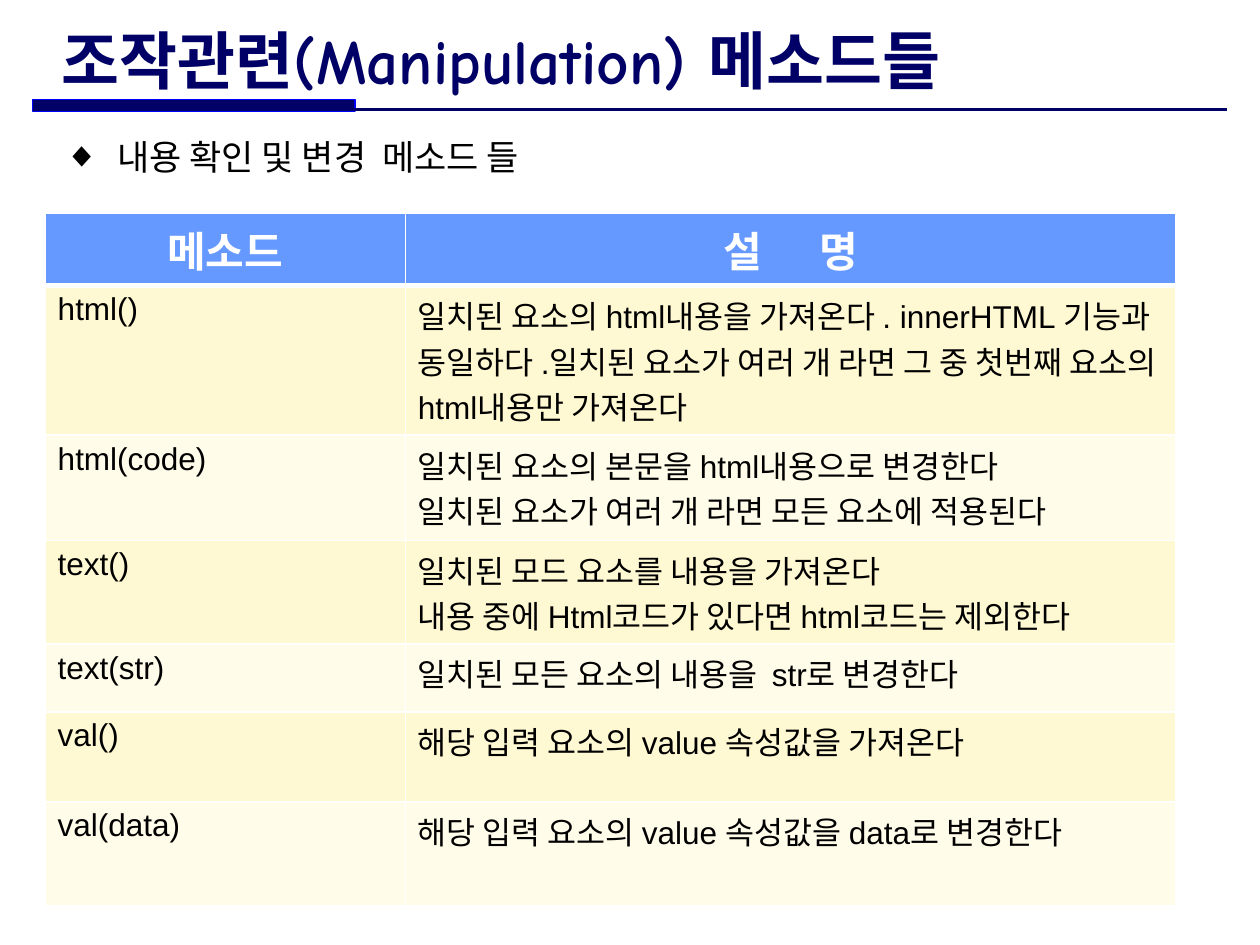
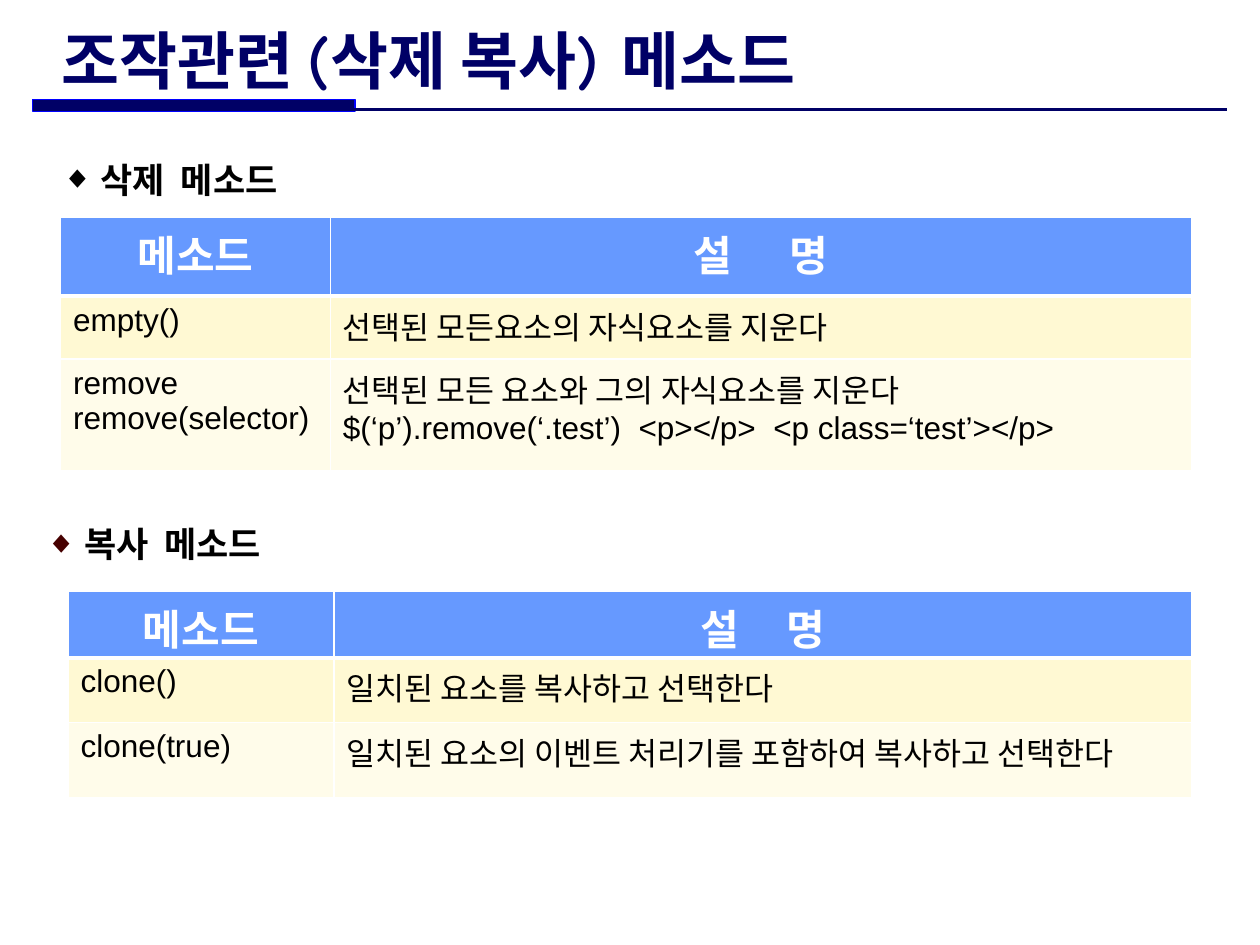
from dataclasses import dataclass

from lxml.etree import SubElement
from pptx import Presentation
from pptx.dml.color import RGBColor as RGB
from pptx.enum.shapes import MSO_CONNECTOR as CONN, MSO_SHAPE as SHAPE
from pptx.enum.text import MSO_ANCHOR as ANCHOR, MSO_AUTO_SIZE as AUTO, PP_ALIGN as ALIGN
from pptx.oxml.ns import qn
from pptx.util import Cm, Pt


@dataclass(frozen=True)
class Theme:
    """Colours, fonts and type sizes of the deck."""
    navy: str = "000066"
    blue: str = "0000FF"
    header: str = "6699FF"
    bands: tuple = ("FFF9D3", "FFFCEA")
    white: str = "FFFFFF"
    black: str = "000000"
    maroon: str = "460000"
    title_font: str = "Comic Neue"
    font: str = "Arial"
    korean: str = "Noto Sans CJK KR"
    title_size: int = 36
    header_size: int = 24
    list_size: int = 20
    cell_size: int = 18


T = Theme()
TITLE = dict(name=T.title_font, size=Pt(T.title_size), bold=True)
HEADER = dict(name=T.font, size=Pt(T.header_size), bold=True)
CELL = dict(name=T.font, size=Pt(T.cell_size), bold=False)
LIST = dict(name=T.font, size=Pt(T.list_size), bold=False)

METHODS = [
    (1.47, "메소드", "설      명"),
    (3, "html()", "일치된 요소의 html내용을 가져온다 . innerHTML 기능과 동일하다 ."
     "일치된 요소가 여러 개 라면 그 중 첫번째 요소의 html내용만 가져온다"),
    (2.12, "html(code)", "일치된 요소의 본문을 html내용으로 변경한다\n"
     "일치된 요소가 여러 개 라면 모든 요소에 적용된다"),
    (2.06, "text()", "일치된 모드 요소를 내용을 가져온다\n"
     "내용 중에 Html코드가 있다면 html코드는 제외한다"),
    (1.37, "text(str)", "일치된 모든 요소의 내용을  str로 변경한다"),
    (1.81, "val()", "해당 입력 요소의 value 속성값을 가져온다"),
    (2.1, "val(data)", "해당 입력 요소의 value 속성값을 data로 변경한다"),
]
REMOVAL = [
    (1.6, "메소드", "설      명"),
    (1.27, "empty()", "선택된 모든요소의 자식요소를 지운다"),
    (2.24, "remove\nremove(selector)", "선택된 모든 요소와 그의 자식요소를 지운다\n"
     "$(‘p’).remove(‘.test’)  <p></p>  <p class=‘test’></p>"),
]
CLONING = [
    (1.35, "메소드", "설     명"),
    (1.3, "clone()", "일치된 요소를 복사하고 선택한다"),
    (1.52, "clone(true)", "일치된 요소의 이벤트 처리기를 포함하여 복사하고 선택한다"),
]


def format_text(tf, style, color, align=ALIGN.LEFT):
    """Apply one font style to every run of a text frame."""
    for p in tf.paragraphs:
        p.alignment = align
        for r in p.runs:
            for key, value in style.items():
                setattr(r.font, key, value)
            r.font.color.rgb = RGB.from_string(color)
            SubElement(r.font._element, qn("a:ea"), typeface=T.korean)


def place(sp, box):
    """Move a shape to a box given in centimetres."""
    sp.left, sp.top, sp.width, sp.height = (Cm(v) for v in box)


def add_heading(s, text, box):
    """Fill the title placeholder and draw the rule below it."""
    sp = s.shapes.title
    place(sp, box)
    tf = sp.text_frame
    tf.text = text
    tf.auto_size, tf.vertical_anchor = AUTO.NONE, ANCHOR.MIDDLE
    format_text(tf, TITLE, T.navy)
    left, bar_top, rule_y = Cm(0.66), Cm(2.01), Cm(2.21)
    bar = s.shapes.add_shape(SHAPE.RECTANGLE, left, bar_top, Cm(6.5), Cm(0.23))
    bar.shadow.inherit = False
    bar.fill.solid()
    bar.fill.fore_color.rgb = RGB.from_string(T.navy)
    bar.line.color.rgb = RGB.from_string(T.blue)
    bar.line.width = Pt(0.75)
    rule = s.shapes.add_connector(CONN.STRAIGHT, left, rule_y, Cm(24.74), rule_y)
    rule.line.color.rgb = RGB.from_string(T.navy)
    rule.line.width = Pt(1.5)
    SubElement(rule._element.spPr, qn("a:effectLst"))


def add_bullet(sp, text, box, indent, bold=False, color=T.black, scale=100):
    """Turn a body placeholder into a one-line diamond list."""
    place(sp, box)
    tf = sp.text_frame
    tf.text = text
    tf.auto_size, tf.vertical_anchor = AUTO.NONE, ANCHOR.TOP
    format_text(tf, {**LIST, "bold": bold}, T.black)
    p = tf.paragraphs[0]
    p.space_before = Pt(0)
    pPr = p._p.get_or_add_pPr()
    pPr.set("marL", str(Cm(indent)))
    pPr.set("indent", str(-Cm(indent)))
    SubElement(SubElement(pPr, qn("a:buClr")), qn("a:srgbClr"), val=color)
    SubElement(pPr, qn("a:buSzPct"), val=str(scale * 1000))
    SubElement(pPr, qn("a:buFont"), typeface=T.font)
    SubElement(pPr, qn("a:buChar"), char="◆")


def set_borders(cell, top, bottom):
    """Draw white borders; top and bottom widths are in points."""
    tcPr = cell._tc.get_or_add_tcPr()
    widths = dict(lnL=1, lnR=1, lnT=top, lnB=bottom)
    for i, (tag, width) in enumerate(widths.items()):
        ln = SubElement(tcPr, qn(f"a:{tag}"), w=str(Pt(width)))
        SubElement(SubElement(ln, qn("a:solidFill")), qn("a:srgbClr"), val=T.white)
        tcPr.insert(i, ln)


def add_method_table(s, rows, left, top, widths, header_font=T.font):
    """Add a table of methods with a header row and banded body."""
    height = sum(row[0] for row in rows)
    tbl = s.shapes.add_table(len(rows), len(widths), Cm(left), Cm(top),
                             Cm(sum(widths)), Cm(height)).table
    for col, width in zip(tbl.columns, widths):
        col.width = Cm(width)
    for i, (row_height, *texts) in enumerate(rows):
        tbl.rows[i].height = Cm(row_height)
        for j, text in enumerate(texts):
            cell = tbl.cell(i, j)
            cell.text_frame.text = text
            cell.fill.solid()
            fill = T.bands[(i - 1) % 2] if i else T.header
            cell.fill.fore_color.rgb = RGB.from_string(fill)
            set_borders(cell, 3 if i == 1 else 1, 1 if i else 3)
            if i:
                format_text(cell.text_frame, CELL, T.black)
            else:
                cell.margin_bottom = 0
                format_text(cell.text_frame, {**HEADER, "name": header_font},
                            T.white, ALIGN.CENTER)


def build_content_methods(prs):
    """Slide on reading and changing content."""
    s = prs.slides.add_slide(prs.slide_layouts[1])
    add_heading(s, "조작관련(Manipulation) 메소드들", (0.99, 0.53, 21, 1.32))
    add_bullet(s.placeholders[1], "내용 확인 및 변경  메소드 들",
               (1.04, 2.6, 17.3, 1.12), 1.07)
    add_method_table(s, METHODS, 0.91, 4.29, (7.26, 15.54))


def build_remove_and_clone(prs):
    """Slide on removing and cloning elements."""
    s = prs.slides.add_slide(prs.slide_layouts[3])
    add_heading(s, "조작관련 (삭제 복사) 메소드", (0.99, 0.53, 17.25, 1.32))
    add_bullet(s.placeholders[1], "삭제  메소드", (0.99, 3.06, 8.53, 1.12),
               0.78, bold=True, scale=90)
    add_method_table(s, REMOVAL, 1.22, 4.37, (5.44, 17.37))
    add_bullet(s.placeholders[2], "복사  메소드", (0.66, 10.4, 8.53, 1.12),
               0.78, bold=True, color=T.maroon, scale=90)
    add_method_table(s, CLONING, 1.37, 11.91, (5.36, 17.3), T.title_font)


def main():
    """Build and save the deck."""
    prs = Presentation()
    prs.slide_width, prs.slide_height = Cm(25.4), Cm(19.05)
    build_content_methods(prs)
    build_remove_and_clone(prs)
    prs.save("out.pptx")


if __name__ == "__main__":
    main()
